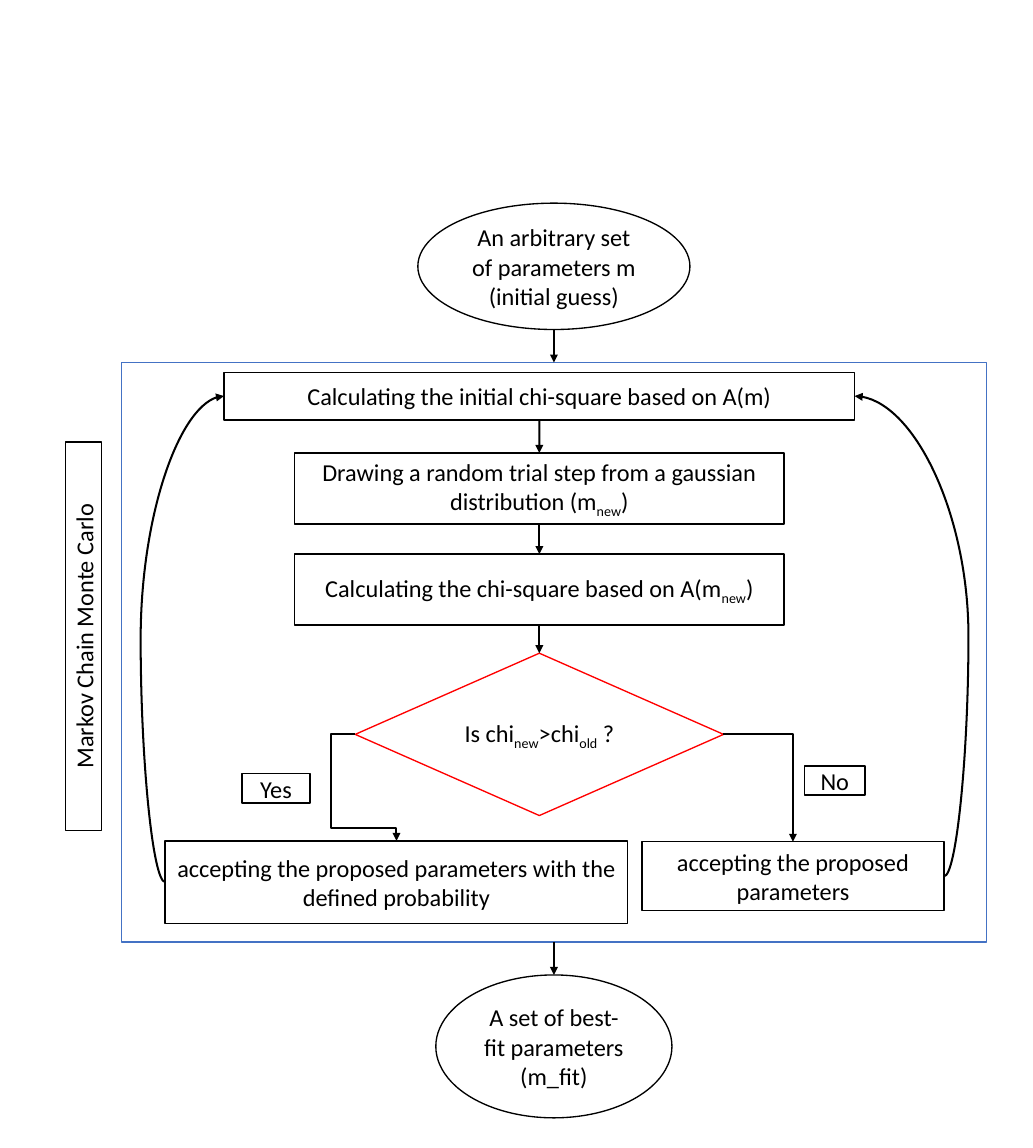
from pptx import Presentation
from pptx.dml.color import RGBColor as RGB
from pptx.enum.shapes import MSO_CONNECTOR as Link, MSO_SHAPE as Kind
from pptx.enum.text import MSO_ANCHOR as Anchor, PP_ALIGN as Align
from pptx.oxml.ns import qn
from pptx.util import Inches, Pt
from lxml.etree import SubElement as Sub

WIDE, HIGH = 10.63, 11.81
HUE = {"ink": "000000", "paper": "FFFFFF", "frame": "4472C4", "test": "FF0000"}
FONT, SIZE = "Calibri", 18
AXIS, MID = 5.7, 5.55  # centre lines of the whole chart and of the loop steps
TOP, LEFT, BOTTOM, RIGHT = range(4)

# Content: name, kind, centre x, top, width, height, line colour, paragraphs
# Text between tildes is subscript
NODES = [
    ("frame", Kind.RECTANGLE, AXIS, 3.73, 8.9, 5.96, "frame", []),
    ("method", Kind.RECTANGLE, 0.86, 6.36, 4, 0.37, "ink",
     ["Markov Chain Monte Carlo"]),
    ("start", Kind.FLOWCHART_CONNECTOR, AXIS, 2.09, 2.8, 1.3, "ink",
     ["An arbitrary set of parameters m", "(initial guess)"]),
    ("first", Kind.RECTANGLE, MID, 3.83, 6.49, 0.49, "ink",
     ["Calculating the initial chi-square based on A(m)"]),
    ("draw", Kind.RECTANGLE, MID, 4.66, 5.04, 0.73, "ink",
     ["Drawing a random trial step from a gaussian distribution (m~new~)"]),
    ("calc", Kind.RECTANGLE, MID, 5.7, 5.04, 0.73, "ink",
     ["Calculating the chi-square based on A(m~new~)"]),
    ("test", Kind.FLOWCHART_DECISION, MID, 6.72, 3.79, 1.67, "test",
     ["Is chi~new~>chi~old~ ?"]),
    ("yes", Kind.RECTANGLE, 2.84, 7.96, 0.7, 0.3, "ink", ["Yes"]),
    ("no", Kind.RECTANGLE, 8.59, 7.88, 0.62, 0.3, "ink", ["No"]),
    ("maybe", Kind.RECTANGLE, 4.08, 8.65, 4.76, 0.85, "ink",
     ["accepting the proposed parameters with the defined probability"]),
    ("accept", Kind.RECTANGLE, 8.16, 8.66, 3.11, 0.71, "ink",
     ["accepting the proposed parameters"]),
    ("fit", Kind.OVAL, AXIS, 10.03, 2.43, 1.47, "ink",
     ["A set of best-fit parameters (m_fit)"]),
]

# Arrows: from, side, to, side, preset, adjustments in thousandths
DOWN = [("first", "draw"), ("draw", "calc"), ("calc", "test"), ("frame", "fit")]
ARROWS = [(a, BOTTOM, b, TOP, "straightConnector1", []) for a, b in DOWN] + [
    ("maybe", LEFT, "first", LEFT, "curvedConnector3", [-418]),
    ("accept", RIGHT, "first", RIGHT, "curvedConnector3", [-273]),
    ("test", LEFT, "maybe", TOP, "bentConnector4", [-580, 881]),
    ("test", RIGHT, "accept", TOP, "bentConnector2", []),
]

deck = Presentation()
deck.slide_width, deck.slide_height = Inches(WIDE), Inches(HIGH)
shapes = deck.slides.add_slide(deck.slide_layouts[6]).shapes


def write(frame, lines):
    frame.word_wrap = True
    frame.vertical_anchor = Anchor.MIDDLE
    for i, line in enumerate(lines):
        para = frame.add_paragraph() if i else frame.paragraphs[0]
        para.alignment = Align.CENTER
        para.font.name, para.font.size = FONT, Pt(SIZE)
        para.font.color.rgb = RGB.from_string(HUE["ink"])
        for j, part in enumerate(line.split("~")):
            run = para.add_run()
            run.text = part
            if j % 2:
                run._r.get_or_add_rPr().set("baseline", "-25000")


def add_node(kind, mid, top, wide, high, hue, lines):
    node = shapes.add_shape(
        kind, *map(Inches, (mid - wide / 2, top, wide, high)))
    node.shadow.inherit = False
    node.fill.solid()
    node.fill.fore_color.rgb = RGB.from_string(HUE["paper"])
    node.line.color.rgb = RGB.from_string(HUE[hue])
    node.line.width = Pt(1)
    if lines:
        write(node.text_frame, lines)
    return node


def add_arrow(preset="straightConnector1", adjust=(), ends=(0, 0, 0, 0)):
    arrow = shapes.add_connector(Link.STRAIGHT, *ends)
    arrow.line.color.rgb = RGB.from_string(HUE["ink"])
    arrow.line.width = Pt(1.5)
    Sub(arrow.line._get_or_add_ln(), qn("a:tailEnd"), type="triangle")
    props = arrow._element.spPr
    Sub(props, qn("a:effectLst"))
    geom = props.find(qn("a:prstGeom"))
    geom.set("prst", preset)
    for i, share in enumerate(adjust, 1):
        name = f"adj{i}" if len(adjust) > 1 or preset[-1] == "4" else "adj1"
        Sub(geom.find(qn("a:avLst")), qn("a:gd"),
            name=name, fmla=f"val {share * 100}")
    return arrow


# Boxes, ovals and the decision
nodes = {name: add_node(*rest) for name, *rest in NODES}
nodes["method"].rotation = 270

# Arrows between the sides of the nodes
for source, out, target, into, preset, adjust in ARROWS:
    arrow = add_arrow(preset, adjust)
    arrow.begin_connect(nodes[source], out)
    arrow.end_connect(nodes[target], into)

# Entry arrow from the foot of the start oval
start, frame = nodes["start"], nodes["frame"]
foot = start.top + start.height
entry = add_arrow(ends=(Inches(AXIS), foot, Inches(AXIS), frame.top))
entry.end_connect(frame, TOP)

deck.save("out.pptx")
